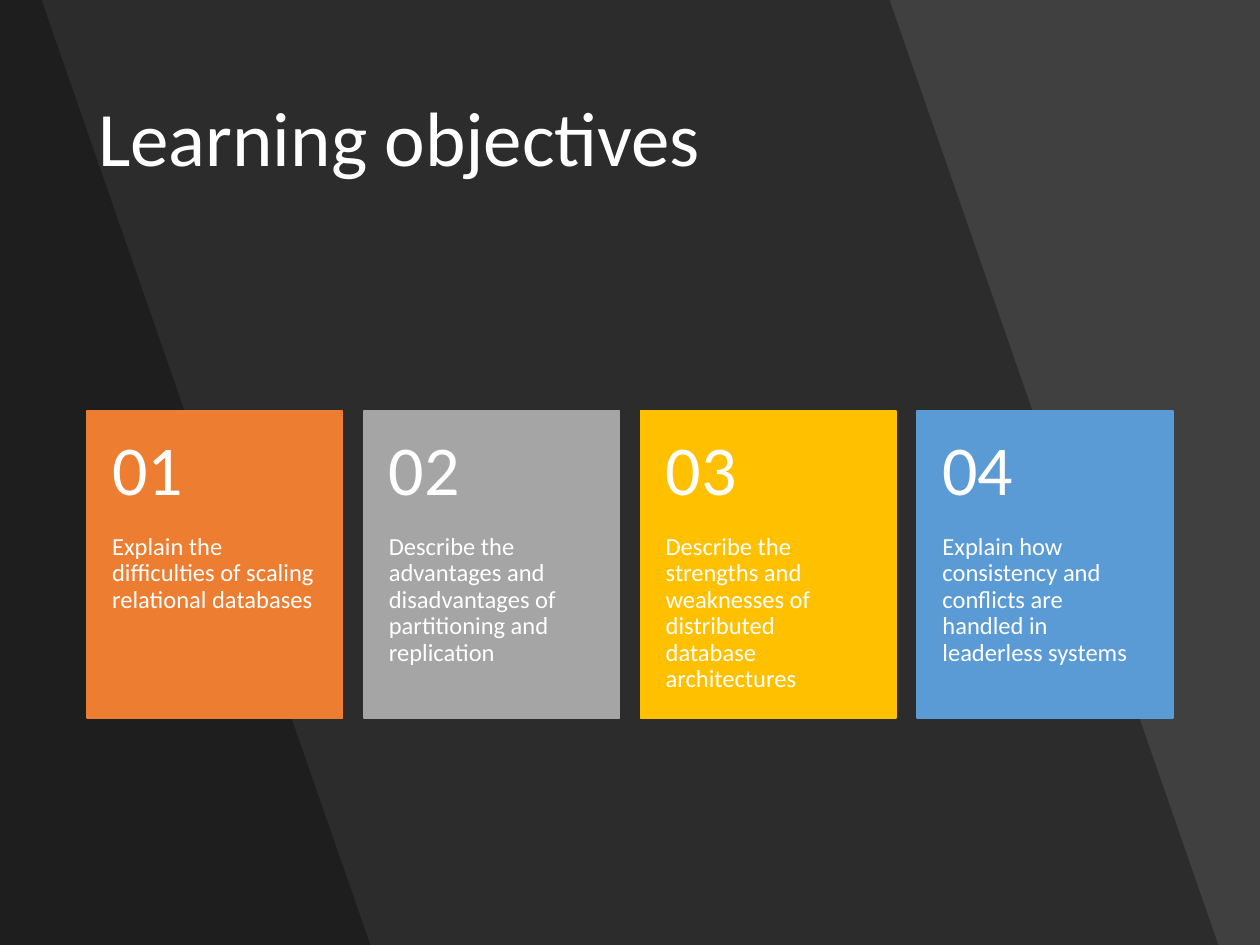
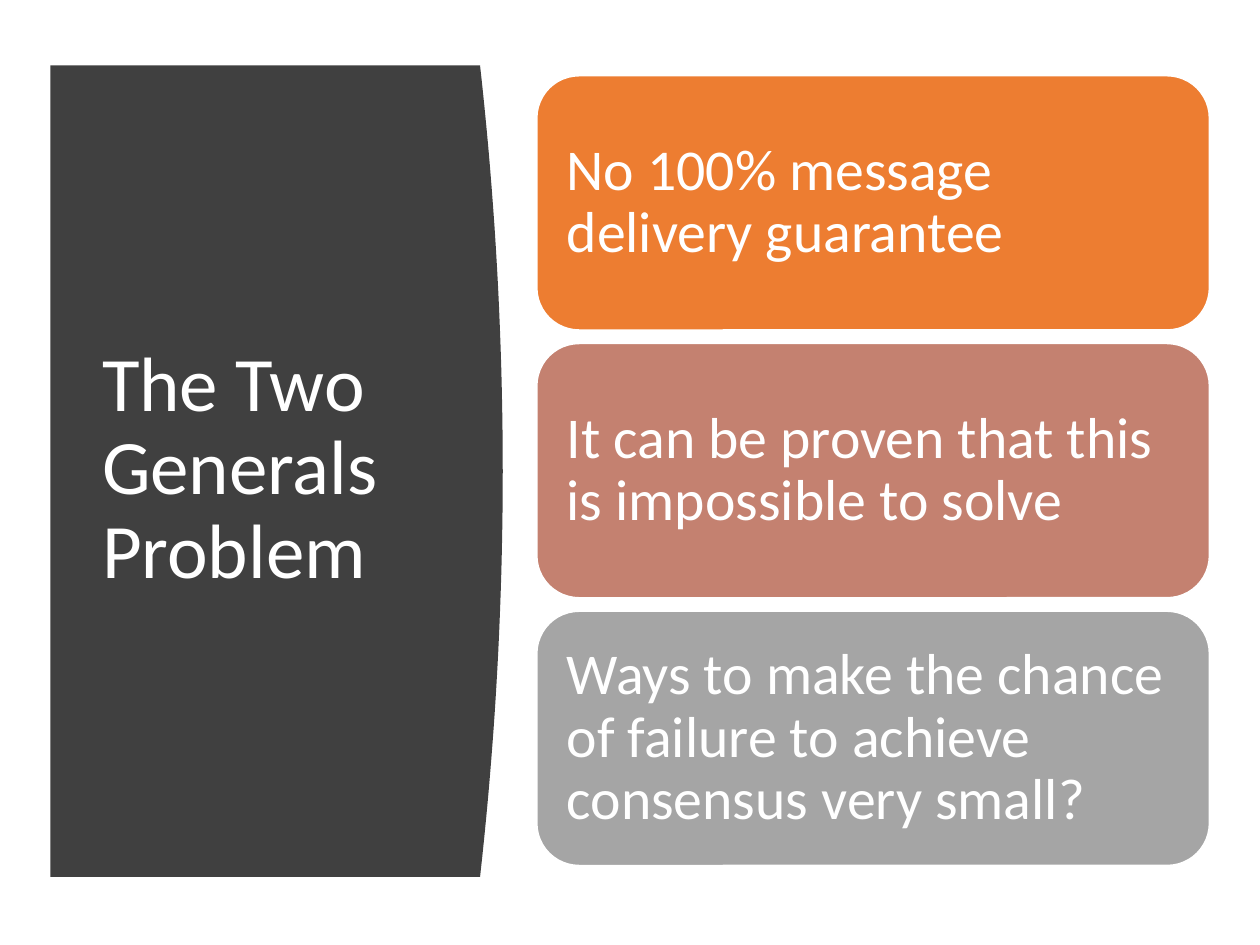
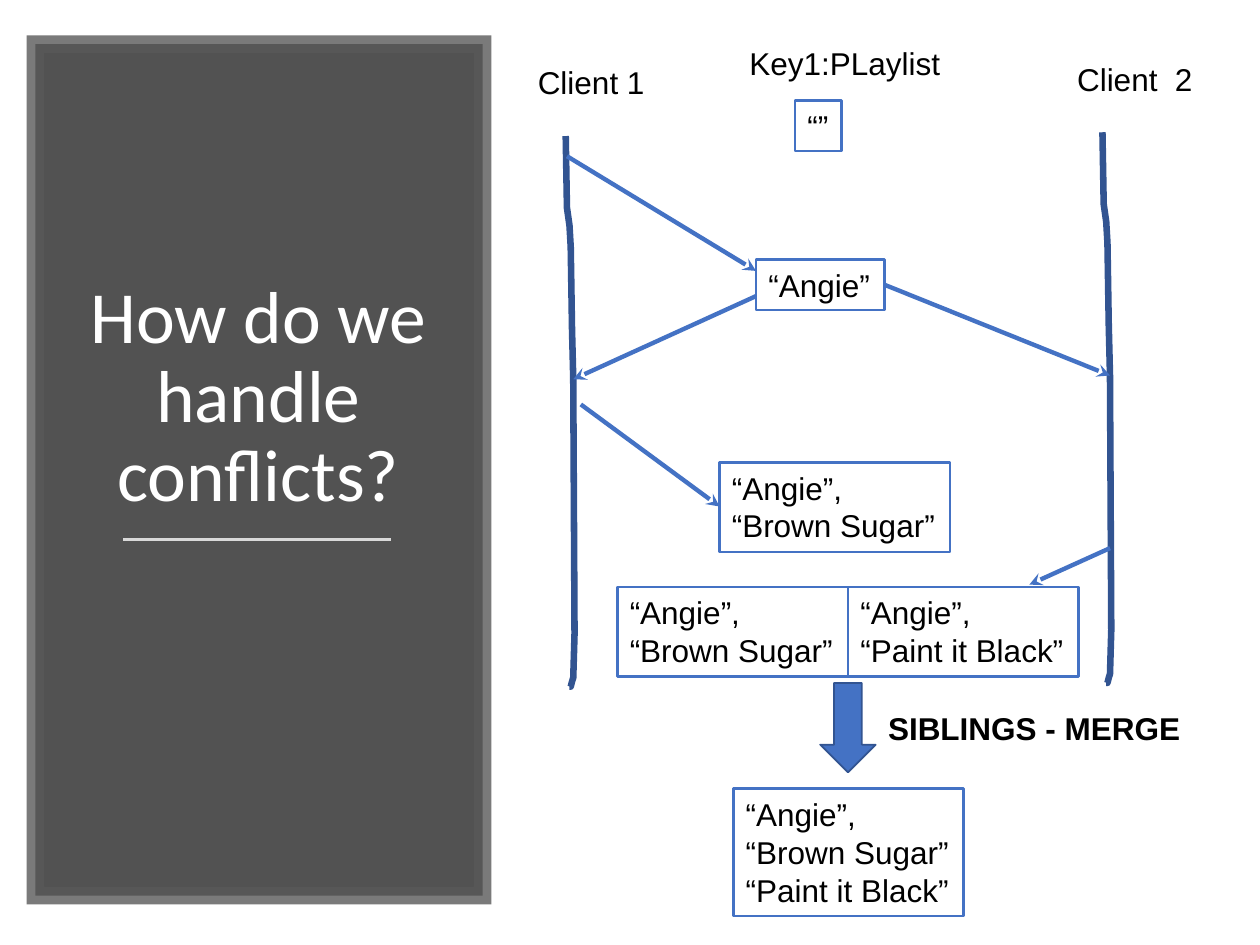
"""Build three slides on replication: objectives, the Two Generals Problem and conflicts."""
from dataclasses import dataclass

from lxml.etree import SubElement
from pptx import Presentation
from pptx.dml.color import RGBColor
from pptx.enum.shapes import MSO_CONNECTOR, MSO_SHAPE
from pptx.enum.text import MSO_ANCHOR, MSO_AUTO_SIZE, PP_ALIGN
from pptx.oxml.ns import qn
from pptx.util import Emu, Pt

PX = 9144
PAGE_WIDTH, PAGE_HEIGHT = 1000, 750


@dataclass(frozen=True)
class Theme:
    """Colours, fonts and type sizes."""
    white: str = "FFFFFF"
    black: str = "000000"
    charcoal: str = "404040"
    frame: str = "595959"
    rule: str = "D9D9D9"
    orange: str = "ED7D31"
    rose: str = "C48170"
    grey: str = "A5A5A5"
    gold: str = "FFC000"
    sky: str = "5B9BD5"
    blue: str = "4472C4"
    navy: str = "325491"
    heading_font: str = "Calibri"
    diagram_font: str = "Arial"
    title_size: int = 44
    narrow_title_size: int = 42
    number_size: int = 40
    statement_size: int = 33
    diagram_size: int = 18
    card_size: int = 14


THEME = Theme()

OBJECTIVES = [
    ("Explain the difficulties of scaling relational databases", THEME.orange),
    ("Describe the advantages and disadvantages of partitioning and replication", THEME.grey),
    ("Describe the strengths and weaknesses of distributed database  architectures", THEME.gold),
    ("Explain how consistency and conflicts are handled in leaderless systems", THEME.sky),
]
STATEMENTS = [
    ("No 100% message delivery guarantee", THEME.orange),
    ("It can be proven that this is impossible to solve", THEME.rose),
    ("Ways to make the chance of failure to achieve consensus very small?", THEME.grey),
]
LABELS = [
    ("Client 1", (417, 45, 106, 40)),
    ("Client  2", (845, 43, 113, 40)),
    ("Key1:PLaylist", (585, 30, 173, 40)),
]
VERSIONS = [
    ("“”", (631, 80, 37, 40)),
    ("“Angie”", (600, 206, 102, 40)),
    ("“Angie”,\n“Brown Sugar”", (571, 367, 183, 71)),
    ("“Angie”,\n“Brown Sugar”", (490, 466, 183, 71)),
    ("“Angie”,\n“Paint it Black”", (673, 466, 183, 71)),
    ("“Angie”,\n“Brown Sugar”\n“Paint it Black”", (582, 626, 183, 101)),
]
MESSAGES = [
    ((450, 124), (600, 215)),
    ((600, 235), (455, 301)),
    ((702, 226), (881, 298)),
    ((461, 321), (571, 402)),
    ((881, 435), (817, 464)),
]
LIFELINE_STARTS = [(449, 108), (875, 105)]
LIFELINE_STROKE = [(0, 0), (1, 57), (3, 71), (4, 88), (5, 153), (6, 193),
                   (7, 395), (6, 430), (5, 433), (4, 437), (3, 437)]
DIAGONAL_BANDS = [(706, 967), (33, 294)]


def px(*lengths):
    return [Emu(round(length * PX)) for length in lengths]


def spread(start, end, size, count):
    """Return the starts of equal parts that fill the range with equal gaps."""
    pitch = (end - start - size) / (count - 1)
    return [start + index * pitch for index in range(count)]


def new_page(deck, background):
    page = deck.slides.add_slide(deck.slide_layouts[5])
    page.background.fill.solid()
    page.background.fill.fore_color.rgb = RGBColor.from_string(background)
    return page


def paint(shape, fill=None, line=None, width=1):
    if fill:
        shape.fill.solid()
        shape.fill.fore_color.rgb = RGBColor.from_string(fill)
    else:
        shape.fill.background()
    if line:
        stroke(shape, line, width)
    else:
        shape.line.fill.background()


def stroke(shape, color, width):
    shape.line.color.rgb = RGBColor.from_string(color)
    shape.line.width = Pt(width)


def fade(properties, percent):
    color = properties.find(qn("a:solidFill"))[0]
    SubElement(color, qn("a:alpha"), val=str(percent * 1000))


def write(box, text, size, font=THEME.heading_font, color=THEME.white, bold=None,
          align=PP_ALIGN.LEFT, anchor=MSO_ANCHOR.MIDDLE, spacing=0.9, margins=None):
    frame = box.text_frame
    frame.text = text
    frame.word_wrap = True
    frame.auto_size = MSO_AUTO_SIZE.NONE
    frame.vertical_anchor = anchor
    if margins:
        (frame.margin_left, frame.margin_top,
         frame.margin_right, frame.margin_bottom) = px(*margins)
    for para in frame.paragraphs:
        para.alignment = align
        para.line_spacing = spacing
        for span in para.runs:
            span.font.name = font
            span.font.size = Pt(size)
            span.font.bold = bold
            span.font.color.rgb = RGBColor.from_string(color)


def place_title(page, text, place, size=THEME.title_size, **style):
    title = page.shapes.title
    title.left, title.top, title.width, title.height = px(*place)
    write(title, text, size, **style)
    title.element.getparent().append(title.element)


def add_block(page, kind, place, fill, line, width=1):
    block = page.shapes.add_shape(kind, *px(*place))
    block.shadow.inherit = False
    paint(block, fill, line, width)
    return block


def add_outline(page, points, closed=True):
    corners = [px(*point) for point in points]
    builder = page.shapes.build_freeform(*corners[0], scale=1.0)
    builder.add_line_segments(corners[1:], close=closed)
    outline = builder.convert_to_shape()
    outline.shadow.inherit = False
    return outline


def add_line(page, start, end, color, width, arrow=False):
    line = page.shapes.add_connector(MSO_CONNECTOR.STRAIGHT, *px(*start, *end))
    stroke(line, color, width)
    properties = line.element.spPr
    if arrow:
        SubElement(properties.find(qn("a:ln")), qn("a:tailEnd"), type="stealth")
    SubElement(properties, qn("a:effectLst"))


def add_diagram_text(page, text, place, bold=None):
    box = page.shapes.add_textbox(*px(*place))
    write(box, text, THEME.diagram_size, THEME.diagram_font, THEME.black, bold,
          anchor=MSO_ANCHOR.TOP, spacing=1.0)
    box.text_frame.word_wrap = False
    box.text_frame.auto_size = MSO_AUTO_SIZE.SHAPE_TO_FIT_TEXT
    return box


def build_objectives(deck):
    page = new_page(deck, THEME.charcoal)
    for top_right, bottom_right in DIAGONAL_BANDS:
        band = add_outline(page, [(0, 0), (top_right, 0),
                                  (bottom_right, PAGE_HEIGHT), (0, PAGE_HEIGHT)])
        paint(band, THEME.black)
        fade(band.element.spPr, 30)
    place_title(page, "Learning objectives", (68, 40, 863, 145))
    top, width, height, number_height = 326, 203, 244, 98
    lefts = spread(69, 931, width, len(OBJECTIVES))
    for index, (left, (text, color)) in enumerate(zip(lefts, OBJECTIVES), 1):
        card = add_block(page, MSO_SHAPE.RECTANGLE, (left, top, width, height), color, color)
        write(card, text, THEME.card_size, anchor=MSO_ANCHOR.TOP,
              margins=(20, number_height, 20, 36))
        number = page.shapes.add_textbox(*px(left, top, width, number_height))
        write(number, f"{index:02}", THEME.number_size, margins=(20, 18, 20, 18))


def build_two_generals(deck):
    page = new_page(deck, THEME.white)
    left, top, bottom, edge, bulge, steps = 40, 52, 696, 381, 18, 40
    curve = []
    for step in range(steps + 1):
        offset = 2 * step / steps - 1
        curve.append((edge + bulge * (1 - offset ** 2), top + (bottom - top) * step / steps))
    paint(add_outline(page, [(left, top), *curve, (left, bottom)]), THEME.charcoal)
    place_title(page, "The Two Generals Problem", (71, 111, 280, 524))
    height = 202
    for row, (text, color) in zip(spread(60, 687, height, len(STATEMENTS)), STATEMENTS):
        block = add_block(page, MSO_SHAPE.ROUNDED_RECTANGLE, (426, row, 534, height),
                          color, THEME.white)
        write(block, text, THEME.statement_size, margins=(14, 14, 14, 14))


def build_conflicts(deck):
    page = new_page(deck, THEME.white)
    panel = add_block(page, MSO_SHAPE.RECTANGLE, (28, 35, 355, 676),
                      THEME.charcoal, THEME.frame, 10)
    border = panel.element.spPr.find(qn("a:ln"))
    fade(panel.element.spPr, 90)
    fade(border, 80)
    SubElement(border, qn("a:miter"), lim="800000")
    place_title(page, "How do we handle conflicts?", (55, 100, 300, 316),
                THEME.narrow_title_size, align=PP_ALIGN.CENTER, anchor=MSO_ANCHOR.BOTTOM)
    add_line(page, (98, 428), (310, 428), THEME.rule, 1.75)
    for left, top in LIFELINE_STARTS:
        lifeline = add_outline(page, [(left + x, top + y) for x, y in LIFELINE_STROKE],
                               closed=False)
        paint(lifeline, line=THEME.navy, width=3.75)
    for start, end in MESSAGES:
        add_line(page, start, end, THEME.blue, 2.5, arrow=True)
    for text, place in LABELS:
        add_diagram_text(page, text, place)
    for text, place in VERSIONS:
        stroke(add_diagram_text(page, text, place), THEME.blue, 1.5)
    add_block(page, MSO_SHAPE.DOWN_ARROW, (651, 542, 44, 71), THEME.blue, THEME.navy)
    add_diagram_text(page, "SIBLINGS - MERGE", (695, 558, 254, 40), bold=True)


def main():
    deck = Presentation()
    deck.slide_width, deck.slide_height = px(PAGE_WIDTH, PAGE_HEIGHT)
    build_objectives(deck)
    build_two_generals(deck)
    build_conflicts(deck)
    deck.save("out.pptx")


if __name__ == "__main__":
    main()
